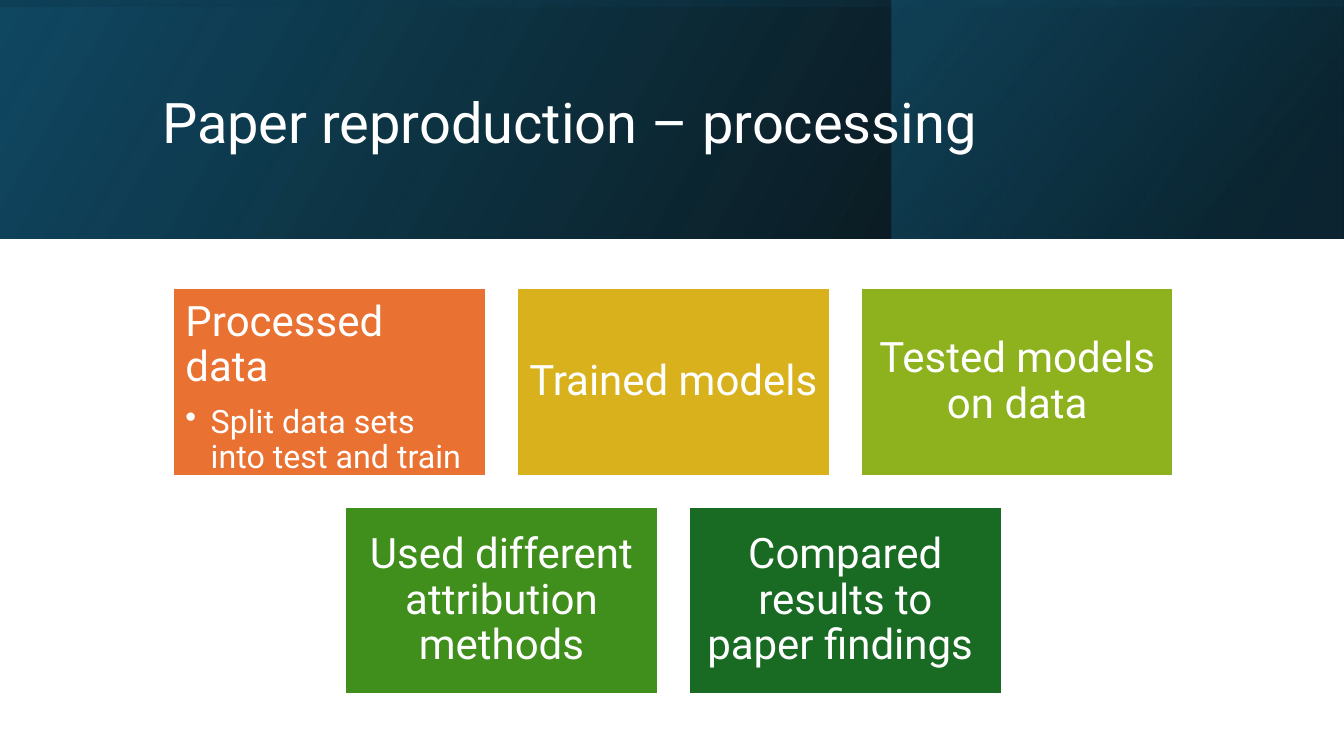
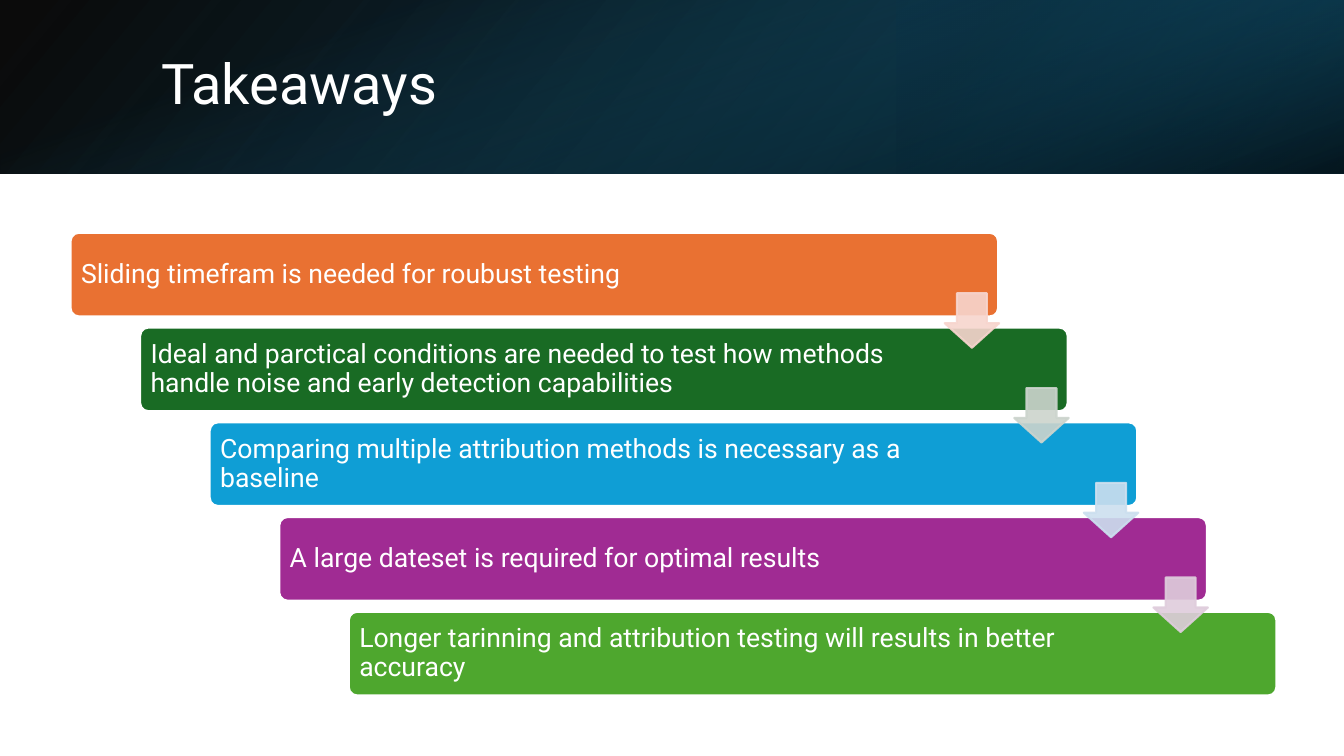
from dataclasses import dataclass

from lxml import etree
from pptx import Presentation
from pptx.dml.color import RGBColor
from pptx.enum.shapes import MSO_SHAPE
from pptx.enum.text import MSO_ANCHOR, PP_ALIGN
from pptx.oxml import parse_xml
from pptx.oxml.ns import qn
from pptx.util import Inches, Pt

RECT = MSO_SHAPE.RECTANGLE
ROUND = MSO_SHAPE.ROUNDED_RECTANGLE
ARROW = MSO_SHAPE.DOWN_ARROW
TOP = MSO_ANCHOR.TOP
MIDDLE = MSO_ANCHOR.MIDDLE
LEFT = PP_ALIGN.LEFT
CENTER = PP_ALIGN.CENTER
DRAW = "http://schemas.openxmlformats.org/drawingml/2006/main"


@dataclass(frozen=True)
class Theme:
    font: str = "Roboto"
    white: str = "FFFFFF"
    black: str = "000000"
    navy: str = "0B3041"
    deep: str = "104862"
    teal: str = "156082"
    orange: str = "E97132"
    gold: str = "D8B11D"
    lime: str = "8EB21E"
    leaf: str = "408E1C"
    forest: str = "196B24"
    blue: str = "0F9ED5"
    purple: str = "A02B93"
    green: str = "4EA72E"
    blush: str = "F7D5CE"
    sage: str = "CCD4CD"
    sky: str = "CCDFEF"
    mauve: str = "DFCDDC"
    title: float = 40
    tile: float = 30
    point: float = 23
    step: float = 19
    edge: float = 1.5


THEME = Theme()
WIDE, HIGH = 13.33, 7.5


def write(frame, text, size, align=LEFT, after=0, bullet=False, first=True):
    para = frame.paragraphs[0] if first else frame.add_paragraph()
    para.alignment = align
    para.line_spacing = 0.9
    para.space_after = Pt(after)
    run = para.add_run()
    run.text = text
    run.font.name = THEME.font
    run.font.size = Pt(size)
    run.font.color.rgb = RGBColor.from_string(THEME.white)
    if bullet:
        props = para._p.get_or_add_pPr()
        props.set("marL", str(Inches(0.25)))
        props.set("indent", str(-Inches(0.25)))
        etree.SubElement(props, qn("a:buChar"), char="•")


def setup(frame, anchor, inset, right=None):
    frame.word_wrap = True
    frame.vertical_anchor = anchor
    frame.margin_left = frame.margin_top = frame.margin_bottom = Inches(inset)
    frame.margin_right = Inches(inset if right is None else right)


def block(slide, kind, x, y, w, h, fill, line=None, adjust=()):
    shape = slide.shapes.add_shape(kind, Inches(x), Inches(y), Inches(w), Inches(h))
    shape.shadow.inherit = False
    shape.fill.solid()
    shape.fill.fore_color.rgb = RGBColor.from_string(fill)
    shape.line.color.rgb = RGBColor.from_string(line or THEME.white)
    shape.line.width = Pt(THEME.edge)
    for index, value in enumerate(adjust):
        shape.adjustments[index] = value
    return shape


def fade(shape, alpha):
    for color in list(shape._element.spPr.iter(qn("a:srgbClr"))):
        etree.SubElement(color, qn("a:alpha"), val=str(alpha * 1000))


def band(slide, x, w, h, stops, angle, turn=0, flip=True):
    across = turn in (90, 270)
    wide, tall = (h, w) if across else (w, h)
    left, top = x + (w - wide) / 2, (h - tall) / 2
    shape = block(slide, RECT, left, top, wide, tall, THEME.navy)
    shape.line.fill.background()
    shape.rotation = turn
    props = shape._element.spPr
    if flip:
        props.xfrm.set("flipH", "1")
    marks = "".join(
        f'<a:gs pos="{spot * 1000}"><a:srgbClr val="{color}">'
        f'<a:alpha val="{alpha * 1000}"/></a:srgbClr></a:gs>'
        for spot, color, alpha in stops
    )
    blend = parse_xml(
        f'<a:gradFill xmlns:a="{DRAW}"><a:gsLst>{marks}</a:gsLst>'
        f'<a:lin ang="{angle * 60000}" scaled="0"/></a:gradFill>'
    )
    props.replace(props.find(qn("a:solidFill")), blend)


def header(slide, text, h, base, side, glow, x, y, w, tall):
    band(slide, 0, WIDE, h, [(0, THEME.black, 96), (100, THEME.deep, 100)], **base)
    band(slide, h=h, **side)
    band(slide, 0, WIDE, h, **glow)
    box = slide.shapes.add_textbox(Inches(x), Inches(y), Inches(w), Inches(tall))
    setup(box.text_frame, MIDDLE, 0.05, 0.1)
    box.text_frame.margin_left = Inches(0.1)
    write(box.text_frame, text, THEME.title)


def tiles(slide, rows):
    w, h, gap, mid = 3.1, 1.86, 0.31, 6.68
    for level, row in enumerate(rows):
        start = mid - (len(row) * (w + gap) - gap) / 2
        for index, (text, fill, point) in enumerate(row):
            x, y = start + index * (w + gap), 2.86 + level * (h + gap)
            frame = block(slide, RECT, x, y, w, h, fill).text_frame
            setup(frame, TOP if point else MIDDLE, 0.12)
            if point:
                write(frame, text, THEME.tile, after=10.5)
                write(frame, point, THEME.point, bullet=True, first=False)
            else:
                write(frame, text, THEME.tile, align=CENTER)


def stairs(slide, steps, arrows):
    across, down = 0.69, 0.94
    for index, (text, fill) in enumerate(steps):
        x, y = 0.7 + index * across, 2.31 + index * down
        shape = block(slide, ROUND, x, y, 9.2, 0.83, fill, adjust=[0.1])
        setup(shape.text_frame, MIDDLE, 0.08, 1.3)
        write(shape.text_frame, text, THEME.step)
    for index, fill in enumerate(arrows):
        x, y = 9.37 + index * across, 2.91 + index * down
        fade(block(slide, ARROW, x, y, 0.54, 0.54, fill, fill, [0.55, 0.45]), 90)


def process(slide):
    header(
        slide, "Paper reproduction – processing", 2.37,
        base=dict(angle=330),
        side=dict(x=8.84, w=4.48, angle=320,
                  stops=[(19, THEME.navy, 68), (100, THEME.teal, 48)]),
        glow=dict(angle=350, turn=270,
                  stops=[(23, THEME.deep, 16), (99, THEME.black, 45)]),
        x=1.51, y=0.38, w=10.63, tall=1.72,
    )
    tiles(slide, [
        [("Processed data", THEME.orange, "Split data sets into test and train"),
         ("Trained models ", THEME.gold, None),
         ("Tested models on data", THEME.lime, None)],
        [("Used different attribution methods", THEME.leaf, None),
         ("Compared results to paper findings ", THEME.forest, None)],
    ])


def lessons(slide):
    header(
        slide, "Takeaways", 1.72,
        base=dict(angle=140),
        side=dict(x=8.89, w=4.44, angle=320, turn=180,
                  stops=[(19, THEME.navy, 68), (100, THEME.teal, 79)]),
        glow=dict(angle=340, turn=90, flip=False,
                  stops=[(23, THEME.teal, 0), (99, THEME.black, 74)]),
        x=1.5, y=0.38, w=10.98, tall=0.96,
    )
    stairs(slide, [
        ("Sliding timefram is needed for roubust testing", THEME.orange),
        ("Ideal and parctical conditions are needed to test how methods "
         "handle noise and early detection capabilities", THEME.forest),
        ("Comparing multiple attribution methods is necessary as a baseline",
         THEME.blue),
        ("A large dateset is required for optimal results", THEME.purple),
        ("Longer tarinning and attribution testing will results in better accuracy",
         THEME.green),
    ], [THEME.blush, THEME.sage, THEME.sky, THEME.mauve])


def main():
    deck = Presentation()
    deck.slide_width, deck.slide_height = Inches(WIDE), Inches(HIGH)
    for build in (process, lessons):
        build(deck.slides.add_slide(deck.slide_layouts[6]))
    deck.save("out.pptx")


if __name__ == "__main__":
    main()
